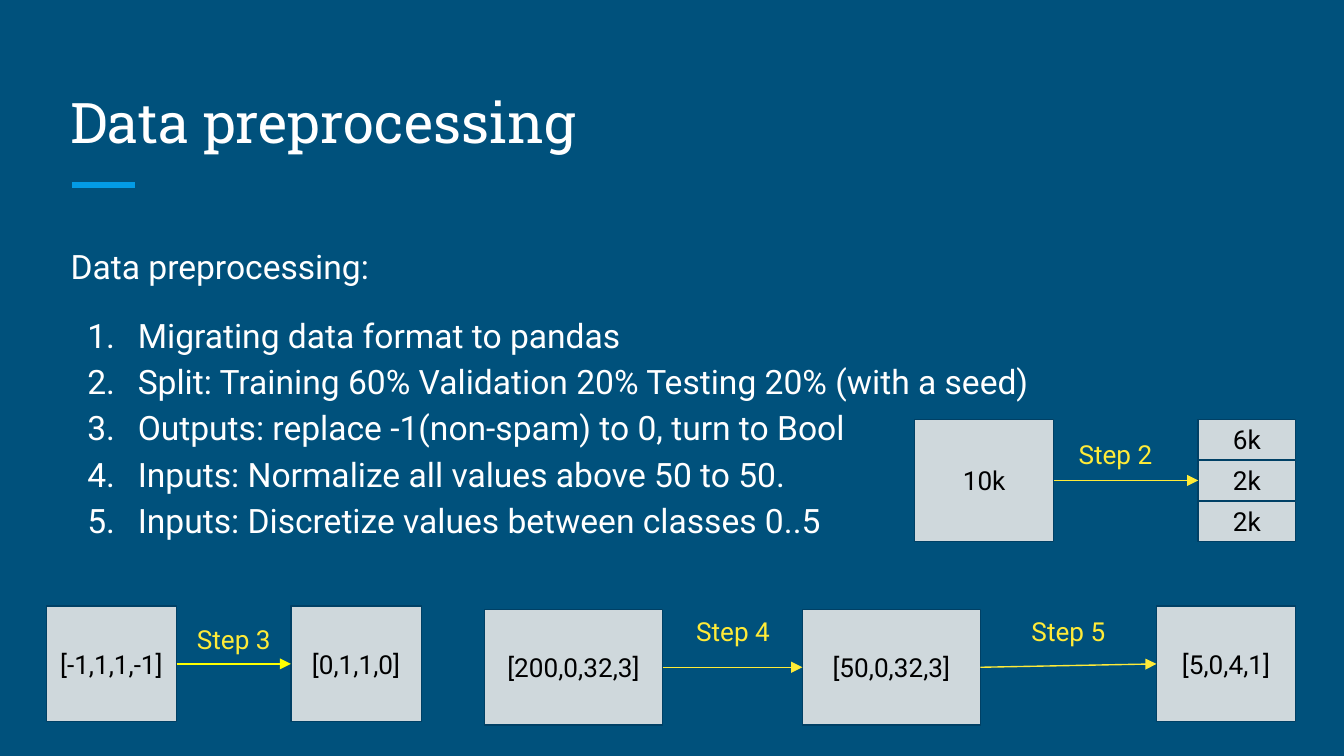
import dataclasses

import pptx
import pptx.dml.color
import pptx.enum.shapes
import pptx.enum.text
import pptx.oxml
import pptx.oxml.ns
import pptx.util

EMU_PER_PX = 4572  # 200 px to the inch
LEFT_SITE, RIGHT_SITE = 1, 3  # connection sites of a rectangle


@dataclasses.dataclass(frozen=True)
class Theme:
    background: str = "00517C"
    accent: str = "039BE5"
    light: str = "FFFFFF"
    box_fill: str = "CFD8DC"
    box_line: str = "004065"
    box_text: str = "000000"
    step: str = "FFEB38"
    bright: str = "FFFF00"
    heading_font: str = "Roboto Slab"
    text_font: str = "Roboto"
    title_size: int = 30
    body_size: int = 18
    label_size: int = 14
    thin: float = 0.75
    thick: float = 3


THEME = Theme()
ALIGN = pptx.enum.text.PP_ALIGN
ANCHOR = pptx.enum.text.MSO_ANCHOR


def px(length):
    return pptx.util.Emu(length * EMU_PER_PX)


def rgb(value):
    return pptx.dml.color.RGBColor.from_string(value)


def make_element(tag, attributes=""):
    return pptx.oxml.parse_xml(f"<a:{tag} {pptx.oxml.ns.nsdecls('a')} {attributes}/>")


def set_frame(frame, anchor):
    frame.word_wrap = True
    frame.auto_size = pptx.enum.text.MSO_AUTO_SIZE.NONE
    frame.vertical_anchor = anchor
    frame.margin_left = frame.margin_right = px(20)
    frame.margin_top = frame.margin_bottom = px(20)


def write(paragraph, text, size, color, font=THEME.text_font, align=ALIGN.CENTER):
    paragraph.alignment = align
    run = paragraph.add_run()
    run.text = text
    run.font.name = font
    run.font.size = pptx.util.Pt(size)
    run.font.color.rgb = rgb(color)


def place(shape, left, top, width, height):
    shape.left, shape.top = px(left), px(top)
    shape.width, shape.height = px(width), px(height)


def add_title(slide, text):
    title = slide.shapes.title
    place(title, 85, 100, 1830, 150)
    set_frame(title.text_frame, ANCHOR.BOTTOM)
    write(title.text_frame.paragraphs[0], text, THEME.title_size, THEME.light,
          THEME.heading_font, ALIGN.LEFT)


def set_numbering(paragraph, numbered):
    properties = paragraph._p.get_or_add_pPr()
    properties.set("marL", str(px(100 if numbered else 0)))
    properties.set("indent", str(px(-75 if numbered else 0)))
    if numbered:
        properties.append(make_element("buFont", f'typeface="{THEME.text_font}"'))
        properties.append(make_element("buAutoNum", 'type="arabicPeriod"'))
    else:
        properties.append(make_element("buNone"))


def add_body(slide, intro, steps):
    body = slide.placeholders[1]
    place(body, 85, 337, 1578, 496)
    frame = body.text_frame
    set_frame(frame, ANCHOR.TOP)
    for index, text in enumerate([intro, *steps]):
        paragraph = frame.add_paragraph() if index else frame.paragraphs[0]
        set_numbering(paragraph, numbered=index > 0)
        paragraph.line_spacing = 1.15
        paragraph.space_before = pptx.util.Pt(12 if index == 1 else 0)
        write(paragraph, text, THEME.body_size, THEME.light, align=ALIGN.LEFT)


def add_box(slide, text, left, top, width, height):
    box = slide.shapes.add_shape(pptx.enum.shapes.MSO_SHAPE.RECTANGLE,
                                 px(left), px(top), px(width), px(height))
    box.shadow.inherit = False
    box.fill.solid()
    box.fill.fore_color.rgb = rgb(THEME.box_fill)
    box.line.color.rgb = rgb(THEME.box_line)
    box.line.width = pptx.util.Pt(THEME.thin)
    set_frame(box.text_frame, ANCHOR.MIDDLE)
    write(box.text_frame.paragraphs[0], text, THEME.label_size, THEME.box_text)
    return box


def add_line(slide, color, weight, start=(0, 0), end=(0, 0)):
    line = slide.shapes.add_connector(pptx.enum.shapes.MSO_CONNECTOR.STRAIGHT,
                                      *map(px, start + end))
    line.line.color.rgb = rgb(color)
    line.line.width = pptx.util.Pt(weight)
    line.element.spPr.append(make_element("effectLst"))
    return line


def add_arrow(slide, source, target, color=THEME.step):
    arrow = add_line(slide, color, THEME.thin)
    arrow.begin_connect(source, RIGHT_SITE)
    arrow.end_connect(target, LEFT_SITE)
    outline = arrow.element.spPr.find(pptx.oxml.ns.qn("a:ln"))
    outline.append(make_element("tailEnd", 'type="triangle"'))


def add_step_label(slide, number, left, top, width=162, height=52):
    label = slide.shapes.add_textbox(px(left), px(top), px(width), px(height))
    set_frame(label.text_frame, ANCHOR.TOP)
    write(label.text_frame.paragraphs[0], f"Step {number}", THEME.label_size, THEME.step)


def main():
    deck = pptx.Presentation()
    deck.slide_width, deck.slide_height = px(2000), px(1125)
    slide = deck.slides.add_slide(deck.slide_layouts[1])
    slide.background.fill.solid()
    slide.background.fill.fore_color.rgb = rgb(THEME.background)

    # Heading and numbered steps
    add_line(slide, THEME.accent, THEME.thick, (107, 275), (201, 275))
    add_title(slide, "Data preprocessing")
    add_body(slide, "Data preprocessing:", [
        "Migrating data format to pandas",
        "Split: Training 60% Validation 20% Testing 20% (with a seed)",
        "Outputs: replace -1(non-spam) to 0, turn to Bool",
        "Inputs: Normalize all values above 50 to 50.",
        "Inputs: Discretize values between classes 0..5",
    ])

    # Step 2: the data set is split in three
    dataset = add_box(slide, "10k", 1361, 624, 207, 182)
    splits = [add_box(slide, size, 1783, 624 + 61 * row, 145, 60)
              for row, size in enumerate(["6k", "2k", "2k"])]
    add_arrow(slide, dataset, splits[1])
    add_step_label(slide, 2, 1579, 632)

    # Step 3: outputs become booleans
    raw_outputs = add_box(slide, "[-1,1,1,-1]", 69, 902, 194, 172)
    bool_outputs = add_box(slide, "[0,1,1,0]", 433, 902, 194, 172)
    add_arrow(slide, raw_outputs, bool_outputs, THEME.bright)
    add_step_label(slide, 3, 267, 908)

    # Steps 4 and 5: inputs are capped, then put into classes
    raw_inputs = add_box(slide, "[200,0,32,3]", 721, 907, 265, 172)
    capped_inputs = add_box(slide, "[50,0,32,3]", 1194, 907, 265, 172)
    class_inputs = add_box(slide, "[5,0,4,1]", 1721, 902, 207, 172)
    add_arrow(slide, raw_inputs, capped_inputs)
    add_arrow(slide, capped_inputs, class_inputs)
    add_step_label(slide, 4, 994, 896, 194, 76)
    add_step_label(slide, 5, 1509, 896)

    deck.save("out.pptx")


if __name__ == "__main__":
    main()
